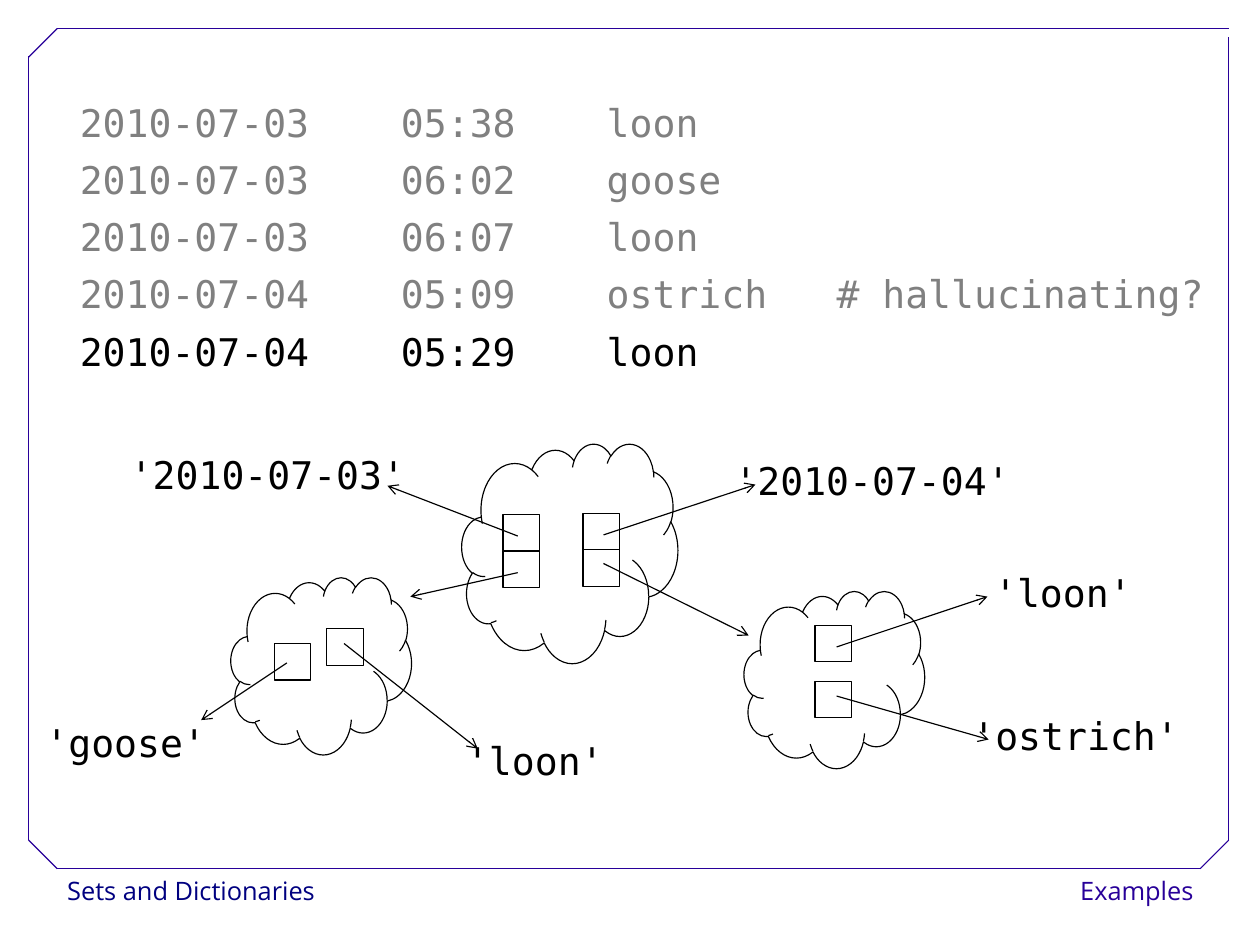
from dataclasses import dataclass

from pptx import Presentation
from pptx.dml.color import RGBColor
from pptx.enum.shapes import MSO_CONNECTOR, MSO_SHAPE
from pptx.enum.text import MSO_ANCHOR, PP_ALIGN as Align
from pptx.oxml.ns import qn
from pptx.util import Inches, Pt
from lxml.etree import SubElement


@dataclass(frozen=True)
class Theme:
    ink: RGBColor = RGBColor(0x00, 0x00, 0x00)
    faded: RGBColor = RGBColor(0x80, 0x80, 0x80)
    paper: RGBColor = RGBColor(0xFF, 0xFF, 0xFF)
    frame: RGBColor = RGBColor(0x28, 0x00, 0x99)
    navy: RGBColor = RGBColor(0x00, 0x00, 0x80)
    code_font: str = "DejaVu Sans Mono"
    footer_font: str = "Open Sans"
    code_size: float = 24
    footer_size: float = 16
    line_width: float = 0.75


@dataclass(frozen=True)
class Box:
    left: float
    top: float
    width: float
    height: float


@dataclass(frozen=True)
class Link:
    start: tuple[float, float]
    end: tuple[float, float]


@dataclass(frozen=True)
class Label:
    text: str
    center: float
    top: float


@dataclass(frozen=True)
class Footer:
    text: str
    box: Box
    color: RGBColor
    align: Align


@dataclass(frozen=True)
class Sighting:
    date: str
    time: str
    bird: str
    remark: str = ""


THEME = Theme()
CM_PER_INCH = 2.54
CELL = 0.32
LETTER_WIDTH = 0.21
LABEL_MARGINS = 0.2
LABEL_HEIGHT = 0.44

FOOTERS = [
    Footer("Sets and Dictionaries", Box(0.49, 7.6, 2.4, 0.4), THEME.navy, Align.LEFT),
    Footer("Examples", Box(9.14, 7.6, 1.4, 0.4), THEME.frame, Align.RIGHT),
]
FRAME = [
    Link((0.5, 7.6), (10.5, 7.6)),
    Link((0.25, 7.35), (0.25, 0.49)),
    Link((0.5, 0.25), (10.75, 0.25)),
    Link((10.75, 7.35), (10.75, 0.32)),
    Link((0.25, 0.5), (0.5, 0.25)),
    Link((10.5, 7.6), (10.75, 7.35)),
    Link((0.25, 7.35), (0.5, 7.6)),
]
SIGHTINGS = [
    Sighting("2010-07-03", "05:38", "loon"),
    Sighting("2010-07-03", "06:02", "goose"),
    Sighting("2010-07-03", "06:07", "loon"),
    Sighting("2010-07-04", "05:09", "ostrich", "# hallucinating?"),
    Sighting("2010-07-04", "05:29", "loon"),
]
SIGHTINGS_BOX = Box(0.6, 0.72, 10.05, 2.75)
COLUMN_STOPS = [2.81, 4.61, 6.62]

CLOUDS = [
    Box(4.04, 3.88, 1.89, 1.92),
    Box(6.51, 5.17, 1.58, 1.55),
    Box(2.02, 5.05, 1.58, 1.55),
]
CELLS = [
    (4.4, 4.82), (4.4, 4.5), (5.1, 4.81), (5.1, 4.49),
    (7.13, 5.96), (7.13, 5.47), (2.4, 5.63), (2.86, 5.5),
]
ARROWS = [
    Link((4.53, 4.69), (3.39, 4.25)),
    Link((4.53, 5.01), (3.59, 5.22)),
    Link((5.28, 4.68), (6.61, 4.24)),
    Link((5.28, 4.93), (6.55, 5.56)),
    Link((7.32, 5.66), (8.64, 5.22)),
    Link((7.32, 6.09), (8.65, 6.47)),
    Link((3.01, 5.63), (4.18, 6.55)),
    Link((2.51, 5.8), (1.76, 6.3)),
]
LABELS = [
    Label("'2010-07-03'", 2.34, 3.94),
    Label("'2010-07-04'", 7.63, 3.99),
    Label("'loon'", 9.3, 4.97),
    Label("'loon'", 4.68, 6.44),
    Label("'goose'", 1.1, 6.28),
    Label("'ostrich'", 9.41, 6.22),
]


def place(box: Box) -> tuple:
    return Inches(box.left), Inches(box.top), Inches(box.width), Inches(box.height)


def add_outline(slide, preset: MSO_SHAPE, box: Box) -> None:
    shape = slide.shapes.add_shape(preset, *place(box))
    shape.shadow.inherit = False
    shape.fill.background()
    shape.line.color.rgb = THEME.ink
    shape.line.width = Pt(THEME.line_width)


def add_line(slide, link: Link, color: RGBColor, arrow: bool = False) -> None:
    points = [Inches(value) for value in (*link.start, *link.end)]
    connector = slide.shapes.add_connector(MSO_CONNECTOR.STRAIGHT, *points)
    connector.line.color.rgb = color
    connector.line.width = Pt(THEME.line_width)
    properties = connector._element.spPr
    if arrow:
        SubElement(properties.find(qn("a:ln")), qn("a:tailEnd"), type="arrow")
    SubElement(properties, qn("a:effectLst"))


def add_text_box(slide, box: Box):
    text_box = slide.shapes.add_textbox(*place(box))
    text_box.text_frame.word_wrap = True
    text_box.text_frame.vertical_anchor = MSO_ANCHOR.TOP
    return text_box


def write(paragraph, text: str, font: str, size: float, color: RGBColor,
          spacing: float, align: Align = Align.LEFT) -> None:
    paragraph.alignment = align
    paragraph.line_spacing = spacing
    run = paragraph.add_run()
    run.text = text
    run.font.name = font
    run.font.size = Pt(size)
    run.font.color.rgb = color


def add_footer(slide, footer: Footer) -> None:
    text_box = add_text_box(slide, footer.box)
    text_box.fill.solid()
    text_box.fill.fore_color.rgb = THEME.paper
    write(text_box.text_frame.paragraphs[0], footer.text, THEME.footer_font,
          THEME.footer_size, footer.color, 1.02, footer.align)


def add_label(slide, label: Label) -> None:
    """Center a quoted value on its point, in a box just wide enough for one line."""
    width = len(label.text) * LETTER_WIDTH + LABEL_MARGINS
    box = Box(label.center - width / 2, label.top, width, LABEL_HEIGHT)
    paragraph = add_text_box(slide, box).text_frame.paragraphs[0]
    write(paragraph, label.text, THEME.code_font, THEME.code_size,
          THEME.ink, 0.93, Align.CENTER)


def add_sightings(slide) -> None:
    """List the sightings in tabbed columns, with only the latest in full ink."""
    frame = add_text_box(slide, SIGHTINGS_BOX).text_frame
    for index, sighting in enumerate(SIGHTINGS):
        paragraph = frame.add_paragraph() if index else frame.paragraphs[0]
        columns = [sighting.date, sighting.time, sighting.bird, sighting.remark]
        color = THEME.ink if sighting is SIGHTINGS[-1] else THEME.faded
        write(paragraph, "\t".join(filter(None, columns)), THEME.code_font,
              THEME.code_size, color, 1.25)
        stops = SubElement(paragraph._p.get_or_add_pPr(), qn("a:tabLst"))
        for stop in COLUMN_STOPS:
            SubElement(stops, qn("a:tab"), pos=str(Inches(stop)), algn="l")


def main() -> None:
    presentation = Presentation()
    presentation.slide_width = Inches(28 / CM_PER_INCH)
    presentation.slide_height = Inches(21 / CM_PER_INCH)
    slide = presentation.slides.add_slide(presentation.slide_layouts[6])

    for footer in FOOTERS:
        add_footer(slide, footer)
    for edge in FRAME:
        add_line(slide, edge, THEME.frame)
    add_sightings(slide)
    for cloud in CLOUDS:
        add_outline(slide, MSO_SHAPE.CLOUD, cloud)
    for left, top in CELLS:
        add_outline(slide, MSO_SHAPE.RECTANGLE, Box(left, top, CELL, CELL))
    for arrow in ARROWS:
        add_line(slide, arrow, THEME.ink, arrow=True)
    for label in LABELS:
        add_label(slide, label)
    presentation.save("out.pptx")


if __name__ == "__main__":
    main()
